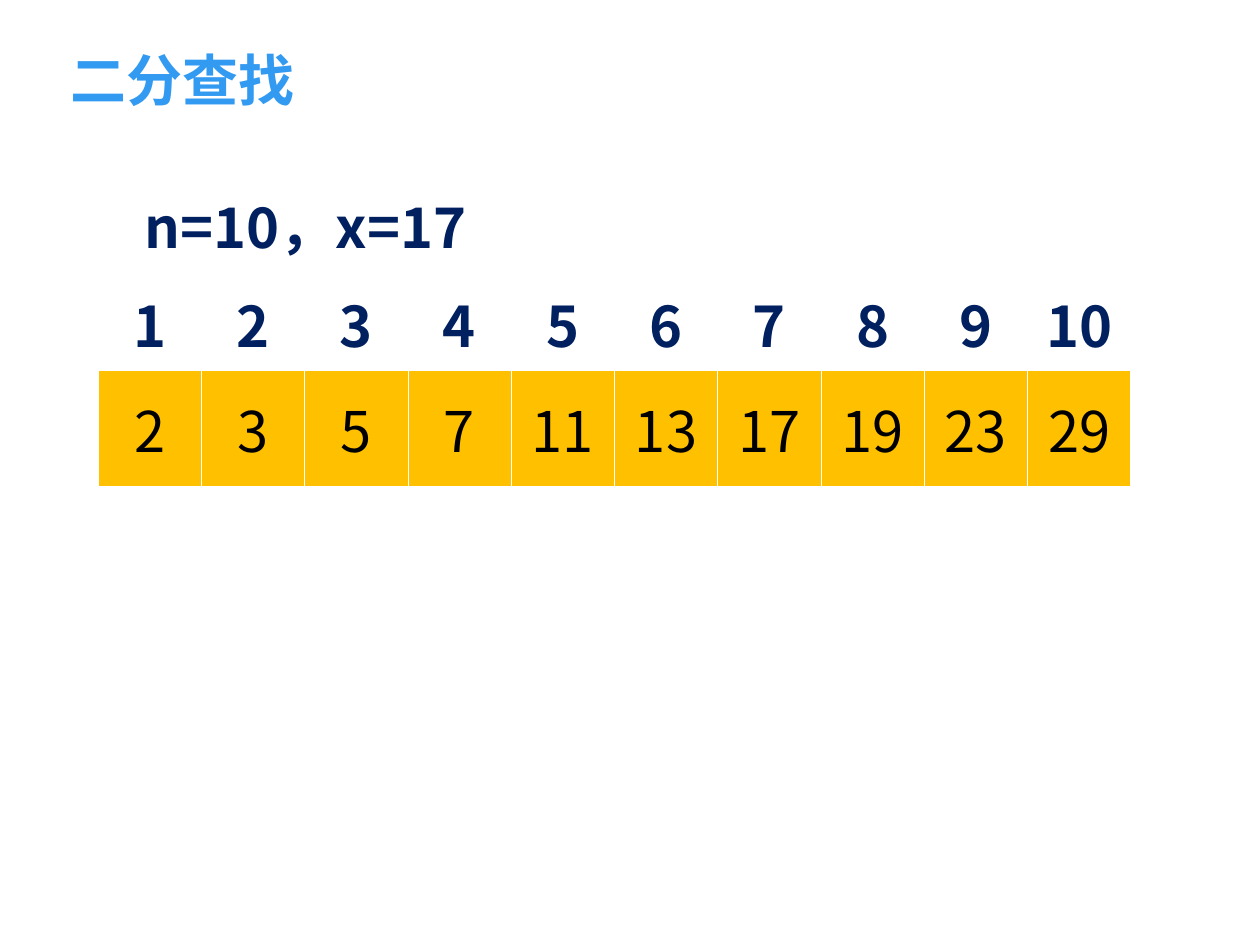
"""Builds the binary search slide with its indexed table of sorted values."""
from lxml import etree
from pptx import Presentation
from pptx.dml.color import RGBColor
from pptx.enum.text import MSO_ANCHOR, MSO_AUTO_SIZE, PP_ALIGN
from pptx.oxml.ns import qn
from pptx.util import Emu, Pt

CENTER, LEFT = PP_ALIGN.CENTER, PP_ALIGN.LEFT
MIDDLE, BOTTOM = MSO_ANCHOR.MIDDLE, MSO_ANCHOR.BOTTOM
FIT_SHAPE, NO_FIT = MSO_AUTO_SIZE.SHAPE_TO_FIT_TEXT, MSO_AUTO_SIZE.NONE
CJK, ARIAL = "Noto Sans CJK SC", "Arial"
BLUE, NAVY, BLACK, AMBER, WHITE = "339AF1", "002060", "000000", "FFC000", "FFFFFF"

TITLE = "二分查找"
PROBLEM = [("n=10", CJK), ("，", ARIAL), ("x=17", CJK)]
VALUES = [2, 3, 5, 7, 11, 13, 17, 19, 23, 29]
INDEXES = range(1, len(VALUES) + 1)
ROWS = [
    {"numbers": INDEXES, "height": 91, "color": NAVY, "bold": True, "fill": None,
     "borders": {"L": 0.45, "R": 0.45, "T": 0.45, "B": 1.47}},
    {"numbers": VALUES, "height": 116, "color": BLACK, "bold": False, "fill": AMBER,
     "borders": {"L": 0.45, "R": 0.45, "T": 1.47, "B": 0.45}},
]
TITLE_BOX = (58, 23, 1143, 97)
PROBLEM_BOX = (59, 186, 493, 81)
TABLE_LEFT, TABLE_TOP, TABLE_WIDTH = 98, 276, 1033


def px(length):
    return Emu(round(length * 914400 / 126))


def rgb(color):
    return RGBColor.from_string(color)


def write(frame, runs, color=NAVY, bold=True, size=32, align=CENTER, spacing=None):
    paragraph = frame.paragraphs[0]
    paragraph.alignment = align
    if spacing:
        paragraph.line_spacing = spacing
    for text, typeface in runs:
        run = paragraph.add_run()
        run.text = text
        font = run.font
        font.size, font.bold, font.name = Pt(size), bold, typeface
        font.color.rgb = rgb(color)
        etree.SubElement(run._r.get_or_add_rPr(), qn("a:ea"), typeface=typeface)


def add_borders(cell, widths):
    properties = cell._tc.get_or_add_tcPr()
    for side, width in widths.items():
        border = etree.SubElement(properties, qn(f"a:ln{side}"), w=str(Pt(width)))
        solid = etree.SubElement(border, qn("a:solidFill"))
        etree.SubElement(solid, qn("a:srgbClr"), val=WHITE)


def add_title(slide):
    title = slide.shapes.title
    title.left, title.top, title.width, title.height = map(px, TITLE_BOX)
    frame = title.text_frame
    frame.vertical_anchor, frame.auto_size = BOTTOM, NO_FIT
    write(frame, [(TITLE, CJK)], color=BLUE, align=LEFT, spacing=0.9)


def add_array(slide):
    height = sum(row["height"] for row in ROWS)
    box = map(px, (TABLE_LEFT, TABLE_TOP, TABLE_WIDTH, height))
    array = slide.shapes.add_table(len(ROWS), len(VALUES), *box).table
    array.first_row = array.horz_banding = False
    for column in array.columns:
        column.width = px(TABLE_WIDTH / len(VALUES))
    for r, row in enumerate(ROWS):
        array.rows[r].height = px(row["height"])
        for c, number in enumerate(row["numbers"]):
            cell = array.cell(r, c)
            cell.vertical_anchor = MIDDLE
            add_borders(cell, row["borders"])
            if row["fill"]:
                cell.fill.solid()
                cell.fill.fore_color.rgb = rgb(row["fill"])
            else:
                cell.fill.background()
            write(cell.text_frame, [(str(number), CJK)], color=row["color"], bold=row["bold"])


def add_problem(slide):
    frame = slide.shapes.add_textbox(*map(px, PROBLEM_BOX)).text_frame
    frame.word_wrap, frame.auto_size = True, FIT_SHAPE
    write(frame, PROBLEM)


def main():
    deck = Presentation()
    deck.slide_width, deck.slide_height = px(1260), px(945)
    slide = deck.slides.add_slide(deck.slide_layouts[5])
    add_title(slide)
    add_array(slide)
    add_problem(slide)
    deck.save("out.pptx")


if __name__ == "__main__":
    main()
